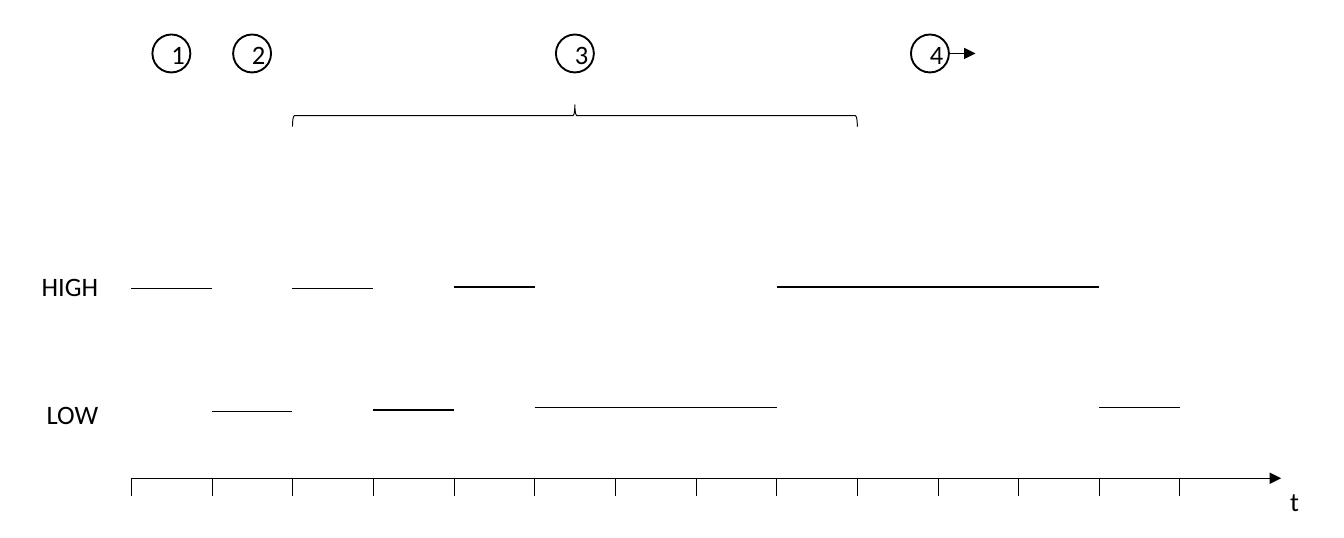
from lxml.etree import SubElement
from pptx import Presentation
from pptx.dml.color import RGBColor
from pptx.enum.shapes import MSO_CONNECTOR, MSO_SHAPE
from pptx.enum.text import MSO_ANCHOR, PP_ALIGN
from pptx.oxml import parse_xml
from pptx.oxml.ns import nsdecls, qn
from pptx.util import Pt

INK = "000000"
PAPER = "FFFFFF"
STEP = 42.54
TICKS = 13
DISC = 20


def tint(code):
    return RGBColor.from_string(code)


def write(frame, text, size=14, color=INK, font="Calibri", align=PP_ALIGN.CENTER):
    para = frame.paragraphs[0]
    para.alignment = align
    run = para.add_run()
    run.text = text
    run.font.size = Pt(size)
    run.font.name = font
    run.font.color.rgb = tint(color)


def stroke(slide, start, end, width=0.75, arrow=False):
    line = slide.shapes.add_connector(
        MSO_CONNECTOR.STRAIGHT, *[Pt(v) for v in (*start, *end)])
    line.line.color.rgb = tint(INK)
    line.line.width = Pt(width)
    if arrow:
        SubElement(line.line._get_or_add_ln(), qn("a:tailEnd"), type="triangle")
    SubElement(line._element.spPr, qn("a:effectLst"))


def border(cell, sides):
    props = cell._tc.get_or_add_tcPr()
    for spot, side in enumerate("LRTB"):
        paint = (f'<a:solidFill><a:srgbClr val="{INK}"/></a:solidFill>'
                 if side in sides else "<a:noFill/>")
        props.insert(spot, parse_xml(
            f'<a:ln{side} {nsdecls("a")} w="{Pt(0.25)}">{paint}</a:ln{side}>'))


def grid(slide, box, rows, cols, sides=""):
    left, top, width, height = box
    table = slide.shapes.add_table(rows, cols, *[Pt(v) for v in box]).table
    table.first_row = table.horz_banding = False
    for col in table.columns:
        col.width = Pt(width / cols)
    for row in table.rows:
        row.height = Pt(height / rows)
    for cell in table.iter_cells():
        cell.fill.background()
        cell.vertical_anchor = MSO_ANCHOR.MIDDLE
        cell.margin_top = cell.margin_bottom = 0
        border(cell, sides)
    return table


def axis(slide, box):
    left, top, width, height = box
    stroke(slide, (left, top), (left + width, top), width=0.5, arrow=True)
    table = grid(slide, (left, top, TICKS * STEP, height), 1, TICKS, sides="LR")
    for cell in table.iter_cells():
        cell.text_frame.paragraphs[0].font.size = Pt(1)
    disc(slide, (left + width - 6.3, top + 2.2), "t", width=0)


def labels(slide, box):
    table = grid(slide, box, 2, 1)
    for cell, text in zip(table.iter_cells(), ("HIGH", "LOW")):
        write(cell.text_frame, text, align=PP_ALIGN.RIGHT)


def signal(slide, box):
    left, top = box[:2]
    spans = [(0, 1, 0.7), (1, 2, 65.5), (2, 3, 0.7), (3, 4, 64.8), (4, 5, 0),
             (5, 8, 63.4), (8, 9, 0), (9, 12, 0), (12, 13, 63.4)]
    for first, last, drop in spans:
        stroke(slide, (left + first * STEP, top + drop),
               (left + last * STEP, top + drop))


def disc(slide, spot, text, width=1):
    shape = slide.shapes.add_shape(
        MSO_SHAPE.OVAL, *[Pt(v) for v in (*spot, DISC, DISC)])
    shape.shadow.inherit = False
    shape.fill.solid()
    shape.fill.fore_color.rgb = tint(PAPER)
    if width:
        shape.line.color.rgb = tint(INK)
        shape.line.width = Pt(width)
    else:
        shape.line.fill.background()
    frame = shape.text_frame
    frame.word_wrap = False
    frame.vertical_anchor = MSO_ANCHOR.MIDDLE
    frame.margin_left = Pt(7)
    frame.margin_right = frame.margin_top = frame.margin_bottom = 0
    write(frame, text)


def brace(slide, box):
    left, top, width, height = box
    shape = slide.shapes.add_shape(
        MSO_SHAPE.RIGHT_BRACE, Pt(left + (width - height) / 2),
        Pt(top + (height - width) / 2), Pt(height), Pt(width))
    shape.rotation = 270
    shape.shadow.inherit = False
    shape.fill.background()
    shape.line.color.rgb = tint(INK)
    shape.line.width = Pt(0.5)


def phases(slide, box):
    left, top = box[:2]
    brace(slide, (left + 2 * STEP, top + 37, 7 * STEP, 11.5))
    for number, place in enumerate((0.5, 1.5, 5.5, 9.9), 1):
        mid = left + place * STEP
        disc(slide, (mid - DISC / 2, top), str(number))
    edge = mid + DISC / 2
    stroke(slide, (edge, top + DISC / 2), (edge + 14, top + DISC / 2),
           width=0.5, arrow=True)


def main():
    deck = Presentation()
    deck.slide_width = Pt(708.5)
    deck.slide_height = Pt(283.5)
    slide = deck.slides.add_slide(deck.slide_layouts[6])
    axis(slide, (69.1, 252, 606.2, 9.4))
    labels(slide, (12.2, 117.4, 46.8, 135.2))
    signal(slide, (69.1, 151.2, TICKS * STEP, 65.5))
    phases(slide, (69.1, 18.2, TICKS * STEP, 48.5))
    deck.save("out.pptx")


main()
